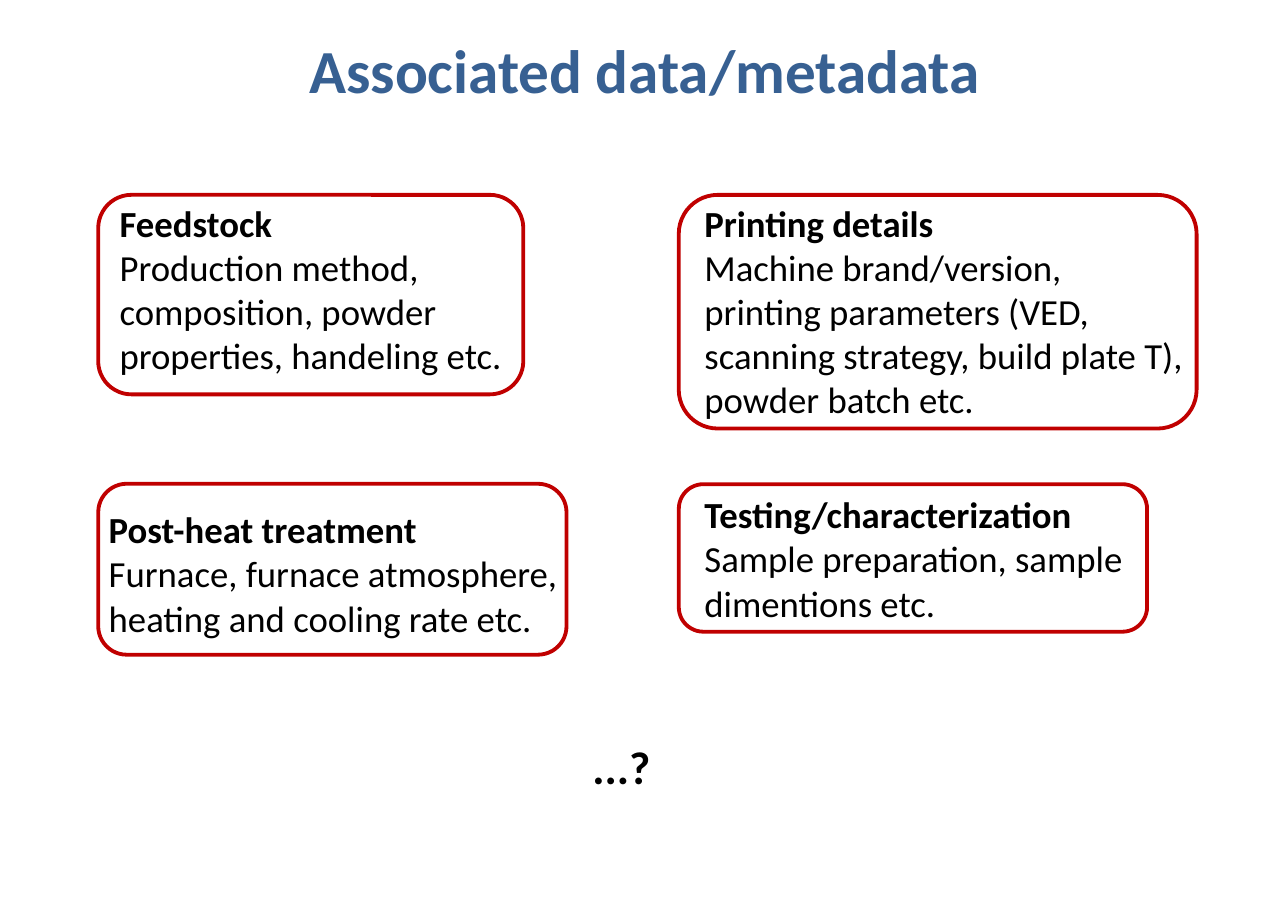
from dataclasses import dataclass

from pptx import Presentation
from pptx.dml.color import RGBColor
from pptx.enum.shapes import MSO_SHAPE
from pptx.enum.text import MSO_ANCHOR, PP_ALIGN
from pptx.util import Pt


@dataclass(frozen=True)
class Theme:
    font: str = "Calibri"
    title: RGBColor = RGBColor(0x37, 0x60, 0x92)
    text: RGBColor = RGBColor(0, 0, 0)
    frame: RGBColor = RGBColor(0xC0, 0, 0)
    title_size: int = 40
    body_size: int = 24
    closing_size: int = 30
    frame_width: float = 2.5


THEME = Theme()

TOPICS = [
    ("Feedstock",
     "Production method, composition, powder properties, handeling etc.",
     (64.2, 127.4, 277.8, 130.4), (71.1, 127.4, 270, 123.8)),
    ("Printing details",
     "Machine brand/version, printing parameters (VED, "
     "scanning strategy, build plate T), powder batch etc.",
     (443.6, 127.4, 338.4, 152.7), (453.3, 127.4, 329, 152.7)),
    ("Post-heat treatment",
     "Furnace, furnace atmosphere, heating and cooling rate etc.",
     (64.2, 316.2, 306, 111.7), (64, 328, 329, 94.5)),
    ("Testing/characterization",
     "Sample preparation, sample dimentions etc.",
     (443.6, 316.5, 306, 96.4), (453.3, 318.2, 329, 94.5)),
]


def add_frame(slide, box):
    sp = slide.shapes.add_shape(MSO_SHAPE.ROUNDED_RECTANGLE, *map(Pt, box))
    sp.shadow.inherit = False
    sp.fill.background()
    sp.line.color.rgb = THEME.frame
    sp.line.width = Pt(THEME.frame_width)


def add_text(slide, box, lines, size, color=THEME.text,
             align=PP_ALIGN.LEFT, anchor=MSO_ANCHOR.TOP):
    tf = slide.shapes.add_textbox(*map(Pt, box)).text_frame
    tf.word_wrap = True
    tf.vertical_anchor = anchor
    tf.text = "\n".join(lines)
    for i, p in enumerate(tf.paragraphs):
        p.alignment = align
        for r in p.runs:
            r.font.name = THEME.font
            r.font.size = Pt(size)
            r.font.bold = i == 0
            r.font.color.rgb = color


def main():
    prs = Presentation()
    prs.slide_width, prs.slide_height = Pt(841.68), Pt(595.44)
    slide = prs.slides.add_slide(prs.slide_layouts[6])

    add_text(slide, (64, 10.8, 714.3, 69), ["Associated data/metadata"],
             THEME.title_size, THEME.title, PP_ALIGN.CENTER, MSO_ANCHOR.MIDDLE)
    for heading, details, frame_box, text_box in TOPICS:
        add_frame(slide, frame_box)
        add_text(slide, text_box, [heading, details], THEME.body_size)
    add_text(slide, (380, 479.5, 302, 44), ["...?"], THEME.closing_size)

    prs.save("out.pptx")


if __name__ == "__main__":
    main()
